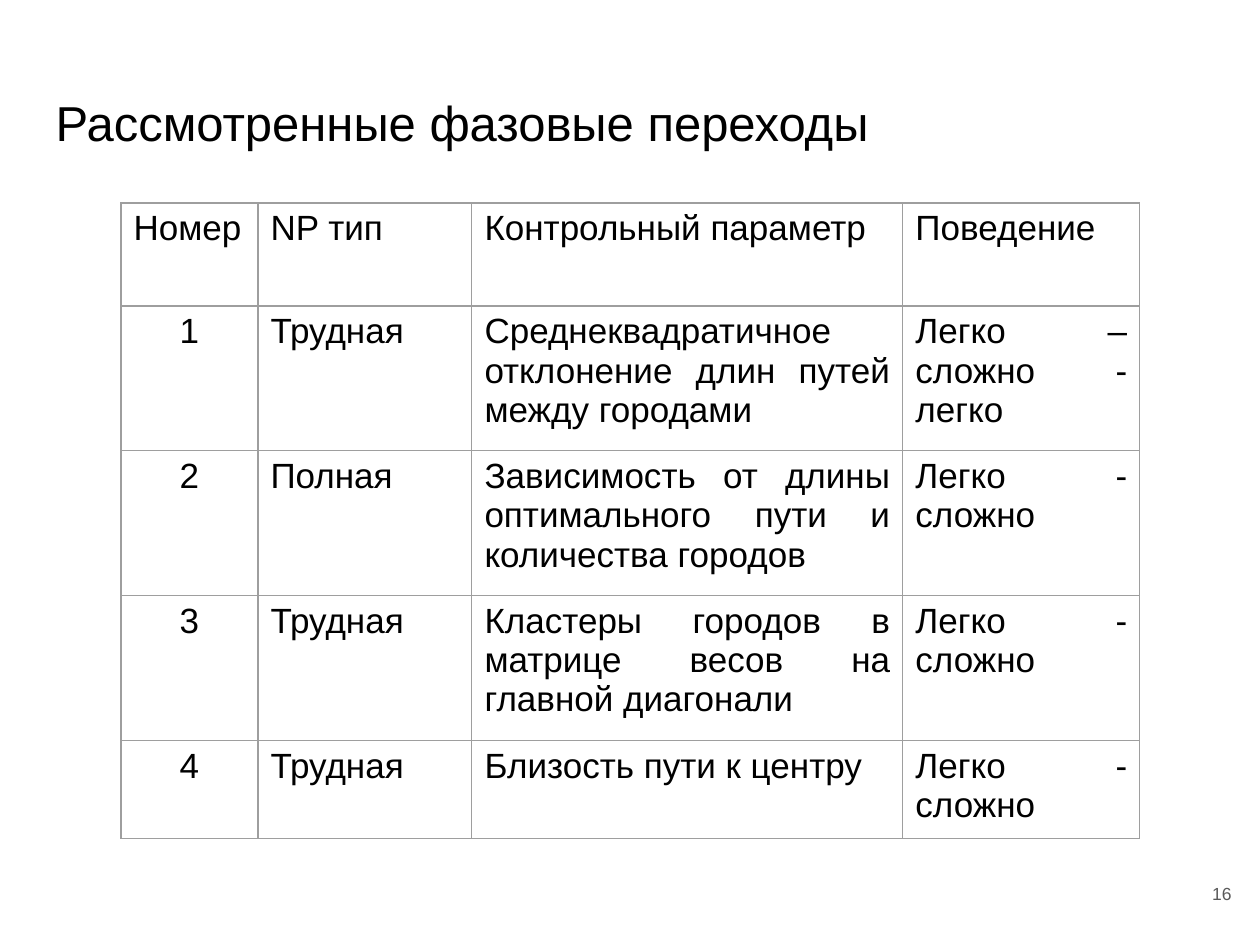
from lxml.etree import SubElement
from pptx import Presentation
from pptx.dml.color import RGBColor
from pptx.enum.text import MSO_ANCHOR, PP_ALIGN
from pptx.oxml.ns import qn
from pptx.util import Pt

PX = 914400 // 126
BORDER = "9E9E9E"
HEADER = ["Номер", "NP тип", "Контрольный параметр", "Поведение"]
TRANSITIONS = [
    ["1", "Трудная", "Среднеквадратичное отклонение длин путей между городами",
     "Легко – сложно - легко"],
    ["2", "Полная", "Зависимость от длины оптимального пути и количества городов",
     "Легко - сложно"],
    ["3", "Трудная", "Кластеры городов в матрице весов на главной диагонали",
     "Легко - сложно"],
    ["4", "Трудная", "Близость пути к центру", "Легко - сложно"],
]
COLUMN_WIDTHS = [137, 214, 431, 237]
ROW_HEIGHTS = [103, 145, 145, 145, 98]


def write(frame, text, size, color, align):
    frame.text = text
    para = frame.paragraphs[0]
    para.alignment = align
    font = para.runs[0].font
    font.name = "Arial"
    font.size = Pt(size)
    font.color.rgb = RGBColor.from_string(color)


def add_borders(cell):
    properties = cell._tc.get_or_add_tcPr()
    for index, side in enumerate(("a:lnL", "a:lnR", "a:lnT", "a:lnB")):
        line = SubElement(properties, qn(side), w=str(Pt(0.75)))
        fill = SubElement(line, qn("a:solidFill"))
        SubElement(fill, qn("a:srgbClr"), val=BORDER)
        properties.insert(index, line)


deck = Presentation()
deck.slide_width, deck.slide_height = 1260 * PX, 945 * PX
page = deck.slides.add_slide(deck.slide_layouts[5])

title = page.shapes.title
title.left, title.top, title.width, title.height = (n * PX for n in (43, 78, 1174, 88))
write(title.text_frame, "Рассмотренные фазовые переходы", 28, "000000", PP_ALIGN.LEFT)

number = page.shapes.add_textbox(*(n * PX for n in (1168, 857, 76, 72)))
write(number.text_frame, "16", 10, "595959", PP_ALIGN.RIGHT)

for box in (title, number):
    frame = box.text_frame
    frame.word_wrap = True
    frame.vertical_anchor = MSO_ANCHOR.MIDDLE
    frame.margin_left = frame.margin_right = Pt(7.2)
    frame.margin_top = frame.margin_bottom = Pt(7.2)

rows = [HEADER] + TRANSITIONS
table = page.shapes.add_table(
    len(rows), len(HEADER), 121 * PX, 203 * PX,
    sum(COLUMN_WIDTHS) * PX, sum(ROW_HEIGHTS) * PX).table
table.first_row = table.horz_banding = False
for column, width in zip(table.columns, COLUMN_WIDTHS):
    column.width = width * PX
for row, height in zip(table.rows, ROW_HEIGHTS):
    row.height = height * PX

for row_index, texts in enumerate(rows):
    for column_index, text in enumerate(texts):
        if row_index == 0:
            align = PP_ALIGN.LEFT
        elif column_index == 0:
            align = PP_ALIGN.CENTER
        else:
            align = PP_ALIGN.JUSTIFY
        cell = table.cell(row_index, column_index)
        write(cell.text_frame, text, 20, "000000", align)
        cell.fill.background()
        add_borders(cell)

deck.save("out.pptx")
